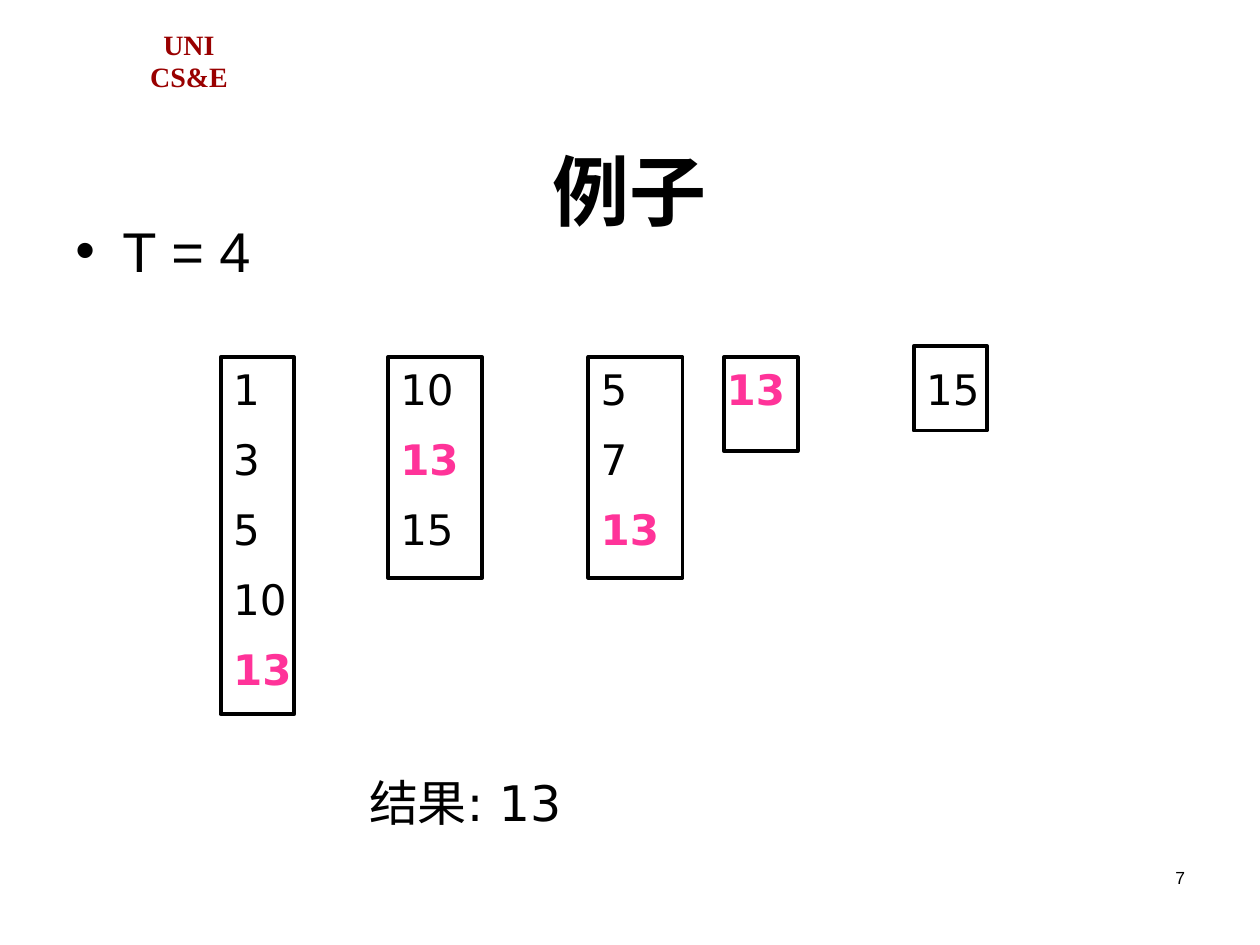
from dataclasses import dataclass

from lxml.etree import SubElement
from pptx import Presentation
from pptx.dml.color import RGBColor as Rgb
from pptx.enum.shapes import MSO_SHAPE as Shape
from pptx.enum.text import MSO_ANCHOR as Anchor, PP_ALIGN as Align
from pptx.oxml.ns import qn
from pptx.util import Cm, Pt


@dataclass(frozen=True)
class Theme:
    ink: Rgb = Rgb(0, 0, 0)
    hit: Rgb = Rgb(0xFF, 0x33, 0x99)
    mark: Rgb = Rgb(0x99, 0, 0)
    sans: str = "Arial"
    wide: str = "DejaVu Sans"
    serif: str = "Times New Roman"
    title: int = 44
    body: int = 32
    result: int = 28
    cell: int = 24
    badge: int = 16
    foot: int = 10


theme = Theme()
deck = Presentation()
deck.slide_width, deck.slide_height = Cm(25.4), Cm(19.05)
slide = deck.slides.add_slide(deck.slide_layouts[6])


def add_box(x, y, w, h, anchor=Anchor.TOP):
    """Add a wrapping text box and return its text frame."""
    box = slide.shapes.add_textbox(Cm(x), Cm(y), Cm(w), Cm(h))
    frame = box.text_frame
    frame.word_wrap = True
    frame.vertical_anchor = anchor
    return frame


def add_run(para, text, size, face, color=theme.ink, bold=False):
    run = para.add_run()
    run.text = text
    font = run.font
    font.size, font.name, font.bold = Pt(size), face, bold
    font.color.rgb = color


# Badge
para = add_box(2.54, 0.48, 2.54, 1.55, Anchor.MIDDLE).paragraphs[0]
para.alignment = Align.CENTER
para.line_spacing = 0.95
add_run(para, "UNI", theme.badge, theme.serif, theme.mark, True)
para.add_line_break()
add_run(para, "CS&E", theme.badge, theme.serif, theme.mark, True)

# Title
para = add_box(1.9, 1.7, 21.59, 3.18, Anchor.BOTTOM).paragraphs[0]
para.alignment = Align.CENTER
add_run(para, "例子", theme.title, theme.sans, bold=True)

# Bullet
para = add_box(1.27, 4.24, 22.86, 12.6).paragraphs[0]
para.space_before = Pt(8)
props = para._p.get_or_add_pPr()
props.set("marL", str(Cm(0.95)))
props.set("indent", str(Cm(-0.95)))
SubElement(props, qn("a:buFont"), typeface=theme.sans)
SubElement(props, qn("a:buChar"), char="•")
add_run(para, "T = 4", theme.body, theme.sans)

# Result
para = add_box(7.19, 15.44, 13.54, 1.45).paragraphs[0]
para.space_before = Pt(17.5)
add_run(para, "结果: 13", theme.result, theme.wide)

# Lists: text left, text width, values, then the outline's place
target = "13"
top = 7.2
lists = [
    (4.45, 2.34, ["1", "3", "5", "10", "13"], (4.45, top, 1.48, 7.2)),
    (7.82, 2.54, ["10", "13", "15"], (7.82, top, 1.9, 4.45)),
    (11.86, 2.11, ["5", "7", "13"], (11.86, top, 1.9, 4.45)),
    (14.4, 2.11, ["13"], (14.6, top, 1.48, 1.9)),
    (18.42, 2.11, ["15"], (18.42, 6.98, 1.48, 1.7)),
]
for left, width, values, place in lists:
    frame = add_box(left, top, width, 1.4 * len(values))
    for row, value in enumerate(values):
        para = frame.add_paragraph() if row else frame.paragraphs[0]
        para.space_before = Pt(11.2)
        found = value == target
        color = theme.hit if found else theme.ink
        add_run(para, value, theme.cell, theme.wide, color, found)

    rect = slide.shapes.add_shape(Shape.RECTANGLE, *map(Cm, place))
    rect.shadow.inherit = False
    rect.fill.background()
    rect.line.color.rgb = theme.ink
    rect.line.width = Pt(2.25)

# Page number
para = add_box(18.21, 17.35, 5.93, 1.27).paragraphs[0]
para.alignment = Align.RIGHT
add_run(para, "7", theme.foot, theme.sans)

deck.save("out.pptx")
